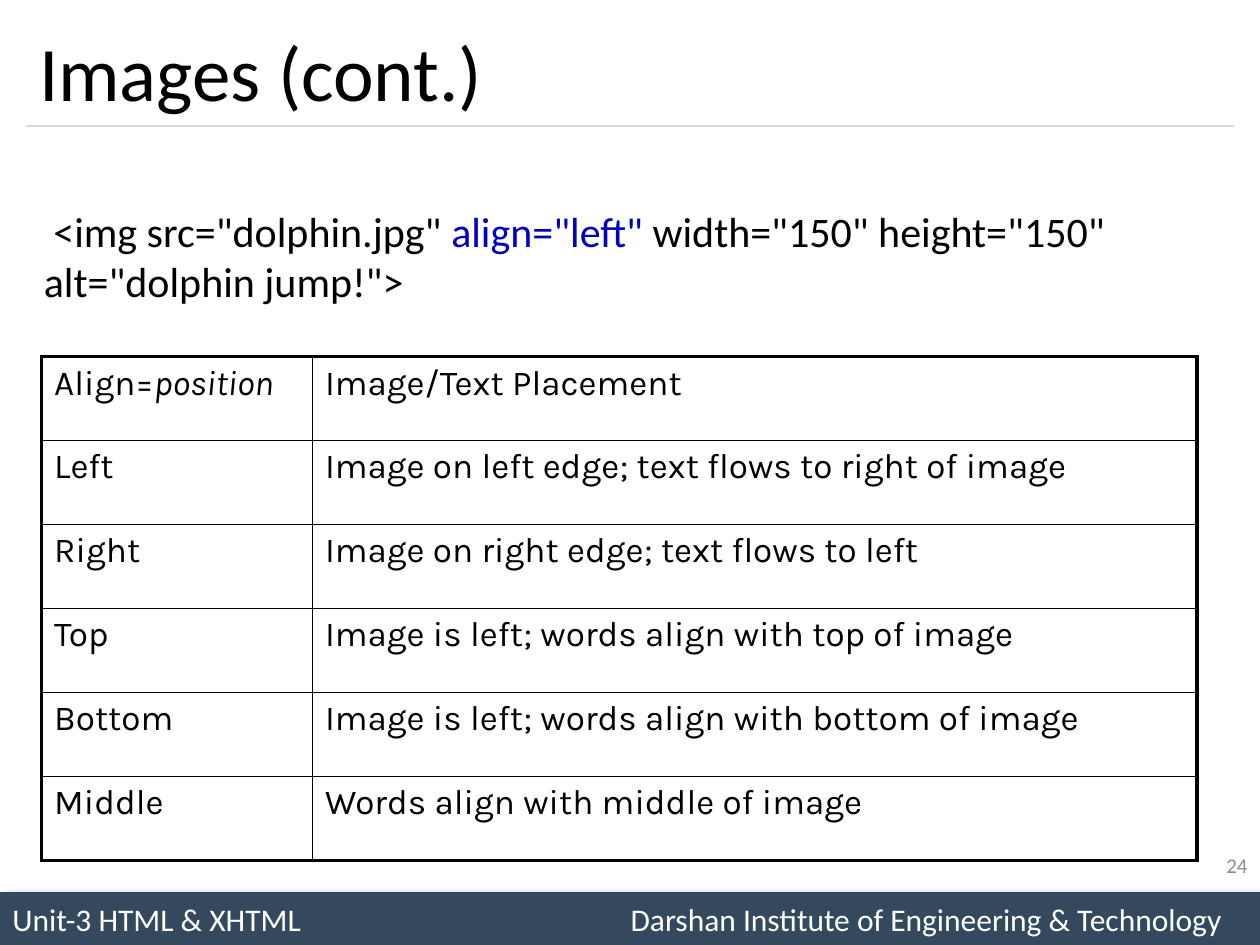
from dataclasses import dataclass

from lxml import etree
from pptx import Presentation
from pptx.dml.color import RGBColor
from pptx.enum import shapes, text
from pptx.oxml import ns
from pptx.util import Inches, Pt


@dataclass(frozen=True)
class Theme:
    font: str = "Calibri"
    table_font: str = "Karla"
    ink: str = "000000"
    accent: str = "0202BE"
    rule: str = "D9D9D9"
    bar: str = "34495E"
    bar_text: str = "FFFFFF"
    muted: str = "8C8C8C"
    title_size: int = 44
    code_size: int = 24
    table_size: int = 20
    footer_size: int = 18
    number_size: int = 12
    outer_border: float = 2.25
    inner_border: float = 1


THEME = Theme()

CODE = [
    (' <img src="dolphin.jpg" ', THEME.ink),
    ('align="left"', THEME.accent),
    (' width="150" height="150" alt="dolphin jump!">', THEME.ink),
]
ALIGNMENTS = [
    ("Align=", "Image/Text Placement"),
    ("Left", "Image on left edge; text flows to right of image"),
    ("Right", "Image on right edge; text flows to left"),
    ("Top", "Image is left; words align with top of image"),
    ("Bottom", "Image is left; words align with bottom of image"),
    ("Middle", "Words align with middle of image"),
]


def box(left, top, width, height):
    return [Inches(value) for value in (left, top, width, height)]


def child(parent, tag, **attributes):
    element = etree.SubElement(parent, ns.qn(tag))
    for name, value in attributes.items():
        element.set(name, str(value))
    return element


def add_run(paragraph, words, size, color=THEME.ink, font=THEME.font, italic=False):
    run = paragraph.add_run()
    run.text = words
    run.font.name = font
    run.font.size = Pt(size)
    run.font.italic = italic
    run.font.color.rgb = RGBColor.from_string(color)


def add_text_box(slide, position, anchor):
    frame = slide.shapes.add_textbox(*position).text_frame
    frame.word_wrap = True
    frame.vertical_anchor = anchor
    return frame.paragraphs[0]


def add_footer(slide):
    bar = slide.shapes.add_shape(
        shapes.MSO_SHAPE.RECTANGLE, *box(0, 7.08, 10, 0.42)
    )
    bar.fill.solid()
    bar.fill.fore_color.rgb = RGBColor.from_string(THEME.bar)
    bar.line.fill.background()
    bar.shadow.inherit = False
    effects = bar._element.spPr.find(ns.qn("a:effectLst"))
    shadow = child(effects, "a:outerShdw", blurRad=Pt(4), dist=Pt(3),
                   dir=45 * 60000, rotWithShape=0)
    child(child(shadow, "a:srgbClr", val=THEME.ink), "a:alpha", val=40000)

    bar.text_frame.vertical_anchor = text.MSO_ANCHOR.MIDDLE
    paragraph = bar.text_frame.paragraphs[0]
    tabs = child(paragraph._p.get_or_add_pPr(), "a:tabLst")
    child(tabs, "a:tab", pos=Inches(9.6), algn="r")
    paragraph.alignment = text.PP_ALIGN.LEFT
    add_run(paragraph,
            "Unit-3 HTML & XHTML\tDarshan Institute of Engineering & Technology",
            THEME.footer_size, THEME.bar_text)


def add_title_rule(slide):
    rule = slide.shapes.add_connector(
        shapes.MSO_CONNECTOR.STRAIGHT, *box(0.21, 1, 9.79, 1)
    )
    rule.line.color.rgb = RGBColor.from_string(THEME.rule)
    rule.line.width = Pt(0.75)
    child(rule._element.spPr, "a:effectLst")


def set_title(slide, words):
    title = slide.shapes.title
    title.left, title.top, title.width, title.height = box(0.21, 0.12, 9.58, 0.88)
    title.text_frame.vertical_anchor = text.MSO_ANCHOR.MIDDLE
    paragraph = title.text_frame.paragraphs[0]
    paragraph.alignment = text.PP_ALIGN.LEFT
    add_run(paragraph, words, THEME.title_size)


def set_borders(cell, outer_sides):
    """Draw thick lines on the table's outer sides and thin ones elsewhere."""
    properties = cell._tc.get_or_add_tcPr()
    for side in "LRTB":
        width = THEME.outer_border if side in outer_sides else THEME.inner_border
        line = child(properties, f"a:ln{side}", w=Pt(width))
        child(child(line, "a:solidFill"), "a:srgbClr", val=THEME.ink)


def add_alignment_table(slide):
    last_row = len(ALIGNMENTS) - 1
    frame = slide.shapes.add_table(
        len(ALIGNMENTS), 2, *box(0.33, 2.83, 9.17, 4)
    )
    table = frame.table
    table.first_row = table.horz_banding = False
    for column, width in zip(table.columns, (2.15, 7.02)):
        column.width = Inches(width)
    for row, values in enumerate(ALIGNMENTS):
        for column, words in enumerate(values):
            cell = table.cell(row, column)
            outer_sides = "LR"[column]
            if row == 0:
                outer_sides += "T"
            if row == last_row:
                outer_sides += "B"
            set_borders(cell, outer_sides)
            cell.fill.background()
            add_run(cell.text_frame.paragraphs[0], words,
                    THEME.table_size, font=THEME.table_font)
    add_run(table.cell(0, 0).text_frame.paragraphs[0], "position",
            THEME.table_size, font=THEME.table_font, italic=True)


def add_code(slide):
    paragraph = add_text_box(slide, box(0.25, 1.58, 9.25, 0.91), text.MSO_ANCHOR.TOP)
    for words, color in CODE:
        add_run(paragraph, words, THEME.code_size, color)


def add_slide_number(slide, number):
    paragraph = add_text_box(slide, box(7.67, 6.67, 2.33, 0.4), text.MSO_ANCHOR.MIDDLE)
    paragraph.alignment = text.PP_ALIGN.RIGHT
    add_run(paragraph, str(number), THEME.number_size, THEME.muted)


def main():
    presentation = Presentation()
    presentation.slide_width = Inches(10)
    presentation.slide_height = Inches(7.5)
    title_only = presentation.slide_layouts.get_by_name("Title Only")
    slide = presentation.slides.add_slide(title_only)
    add_footer(slide)
    add_title_rule(slide)
    set_title(slide, "Images (cont.)")
    add_alignment_table(slide)
    add_code(slide)
    add_slide_number(slide, 24)
    presentation.save("out.pptx")


if __name__ == "__main__":
    main()
